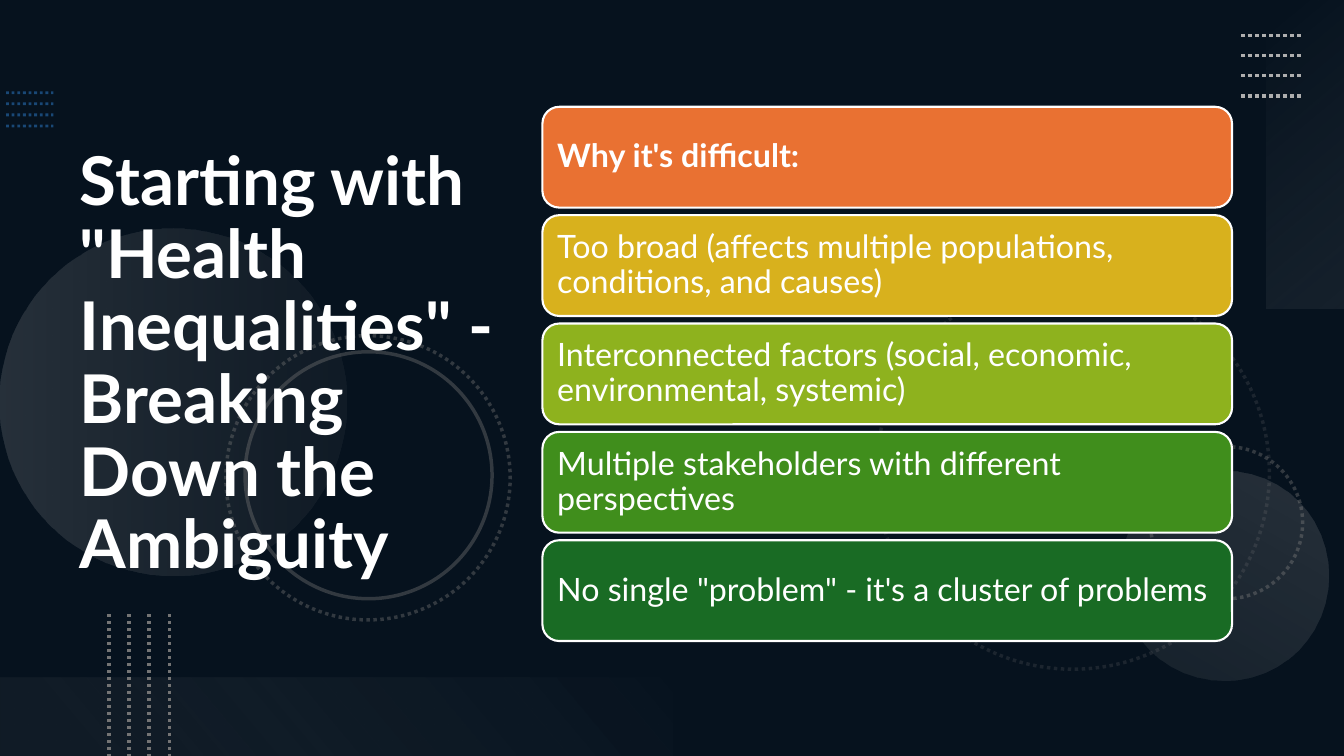
from pptx import Presentation
from pptx.dml.color import RGBColor
from pptx.enum.dml import MSO_LINE
from pptx.enum.shapes import MSO_CONNECTOR, MSO_SHAPE
from pptx.enum.text import MSO_ANCHOR, MSO_AUTO_SIZE, PP_ALIGN
from pptx.oxml.ns import qn
from pptx.util import Inches, Pt
from lxml import etree

STRAIGHT = MSO_CONNECTOR.STRAIGHT
RECTANGLE, OVAL, ROUNDED = MSO_SHAPE.RECTANGLE, MSO_SHAPE.OVAL, MSO_SHAPE.ROUNDED_RECTANGLE
DOTTED = MSO_LINE.ROUND_DOT
MIDDLE, LEFT = MSO_ANCHOR.MIDDLE, PP_ALIGN.LEFT
NO_AUTOSIZE = MSO_AUTO_SIZE.NONE

FONT = "Lato"
WIDTH, HEIGHT = 13.33, 7.5
COLORS = {
    "navy": "0E2841", "black": "000000", "white": "FFFFFF", "blue": "2D7FCF",
    "gray": "747474", "silver": "AEAEAE", "pale": "F6F6F6", "mist": "F1F1F1",
    "orange": "E97132", "gold": "D8B11D", "lime": "8EB21E", "green": "408E1C",
    "forest": "196B24",
}
REASONS = [
    ("Why it's difficult:", "orange"),
    ("Too broad (affects multiple populations, conditions, and causes)", "gold"),
    ("Interconnected factors (social, economic, environmental, systemic)", "lime"),
    ("Multiple stakeholders with different perspectives", "green"),
    ("No single \"problem\" - it's a cluster of problems", "forest"),
]


def color(name):
    """Return the named palette colour."""
    return RGBColor.from_string(COLORS[name])


def set_opacity(shape, *percents):
    """Give the colours of a shape, in order, their opacities."""
    for node, percent in zip(shape.element.iter(qn("a:srgbClr")), percents):
        etree.SubElement(node, qn("a:alpha"), val=str(percent * 1000))


def add_plain(page, kind, box, rotation=0):
    """Add a shape without shadow, fill or outline."""
    shape = page.shapes.add_shape(kind, *map(Inches, box))
    shape.shadow.inherit = False
    shape.rotation = rotation
    shape.fill.background()
    shape.line.fill.background()
    return shape


def add_glow(page, kind, box, rotation, angle, stops):
    """Add a shape with a translucent gradient of (position, colour, opacity) stops."""
    shape = add_plain(page, kind, box, rotation)
    shape.fill.gradient()
    shape.fill.gradient_angle = 360 - angle
    for stop, (position, name, _) in zip(shape.fill.gradient_stops, stops):
        stop.position = position
        stop.color.rgb = color(name)
    set_opacity(shape, *(stop[2] for stop in stops))


def add_ring(page, left, top, size, rotation, opacity, dotted=True):
    """Add a circle outline."""
    ring = add_plain(page, OVAL, (left, top, size, size), rotation)
    ring.line.color.rgb = color("gray")
    ring.line.width = Pt(2.5)
    if dotted:
        ring.line.dash_style = DOTTED
    set_opacity(ring, opacity)


def add_dotted_lines(page, box, name, weight, vertical=False, opacity=100):
    """Fill a box with four evenly spaced dotted lines."""
    left, top, width, height = box
    for index in range(4):
        if vertical:
            x = left + width * index / 3
            ends = (x, top, x, top + height)
        else:
            y = top + height * index / 3
            ends = (left, y, left + width, y)
        line = page.shapes.add_connector(STRAIGHT, *map(Inches, ends))
        line.line.color.rgb = color(name)
        line.line.width = Pt(weight)
        line.line.dash_style = DOTTED
        etree.SubElement(line.element.spPr, qn("a:effectLst"))
        set_opacity(line, opacity)


def add_backdrop(page):
    """Draw the dark background with its circles, panels and dotted lines."""
    page.background.fill.solid()
    page.background.fill.fore_color.rgb = color("navy")
    shade = add_plain(page, RECTANGLE, (0, 0, WIDTH, HEIGHT))
    shade.fill.solid()
    shade.fill.fore_color.rgb = color("black")
    set_opacity(shade, 53)

    add_dotted_lines(page, (0.06, 0.92, 0.47, 0.33), "blue", 2, opacity=50)
    add_ring(page, 8.69, 2.74, 3.9, 75, 20)
    add_ring(page, 11.41, 4.43, 1.51, 270, 40)
    add_glow(page, OVAL, (0, 2.27, 3.44, 3.44), 270, 90,
             [(0, "silver", 20), (1, "gray", 10)])
    add_glow(page, OVAL, (11.1, 4.67, 2.08, 2.08), 210, 90,
             [(0, "silver", 10), (1, "silver", 20)])
    add_ring(page, 2.24, 3.33, 2.82, 75, 40)
    add_ring(page, 2.43, 3.49, 2.45, 75, 40, dotted=False)
    add_glow(page, RECTANGLE, (11.42, 1.14, 3.06, 0.78), 270, 140,
             [(0, "pale", 0), (1, "silver", 10)])
    add_dotted_lines(page, (12.31, 0.35, 0.6, 0.6), "silver", 2.5)
    add_glow(page, RECTANGLE, (0, 6.72, 6.67, 0.78), 180, 140,
             [(0.1, "gray", 10), (1, "mist", 0)])
    add_dotted_lines(page, (1.08, 6.09, 0.6, 1.41), "gray", 2.5, vertical=True)


def write_text(shape, text, size, bold):
    """Write one white, left-aligned, vertically centred paragraph."""
    frame = shape.text_frame
    frame.text = text
    frame.word_wrap = True
    frame.auto_size = NO_AUTOSIZE
    frame.vertical_anchor = MIDDLE
    para = frame.paragraphs[0]
    para.alignment = LEFT
    para.line_spacing = 0.9
    para.font.name = FONT
    para.font.size = Pt(size)
    para.font.bold = bold
    para.font.color.rgb = color("white")


def add_title(page, box):
    """Place the title placeholder in front of the backdrop."""
    title = page.shapes.title
    title.element.getparent().append(title.element)
    title.left, title.top, title.width, title.height = map(Inches, box)
    write_text(title, "Starting with \"Health Inequalities\" - Breaking Down the Ambiguity",
               48, True)


def add_reasons(page, box):
    """Stack the reason cards evenly in a box, the first one as heading."""
    left, top, width, height = box
    card_height = 1
    step = (height - card_height) / (len(REASONS) - 1)
    for index, (text, name) in enumerate(REASONS):
        card = add_plain(page, ROUNDED, (left, top + index * step, width, card_height))
        card.fill.solid()
        card.fill.fore_color.rgb = color(name)
        card.line.color.rgb = color("white")
        card.line.width = Pt(1.5)
        write_text(card, text, 23, index == 0)
        card.text_frame.margin_left = card.text_frame.margin_right = Inches(0.1)


def main():
    """Build and save the deck."""
    deck = Presentation()
    deck.slide_width, deck.slide_height = Inches(WIDTH), Inches(HEIGHT)
    page = deck.slides.add_slide(deck.slide_layouts[5])
    add_backdrop(page)
    add_title(page, (0.69, 0.54, 4.59, 6.17))
    add_reasons(page, (5.38, 1.06, 6.84, 5.3))
    deck.save("out.pptx")


if __name__ == "__main__":
    main()
